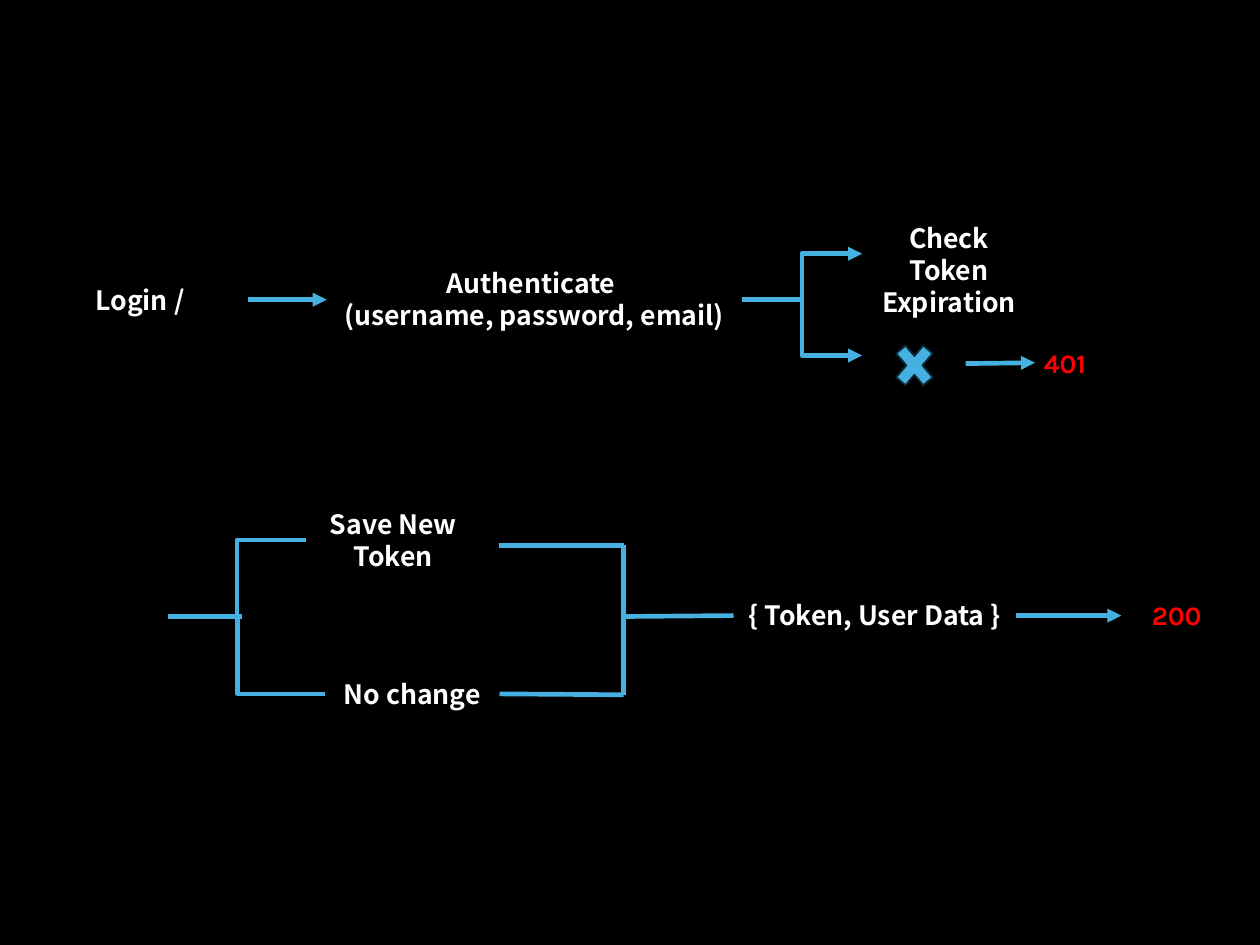
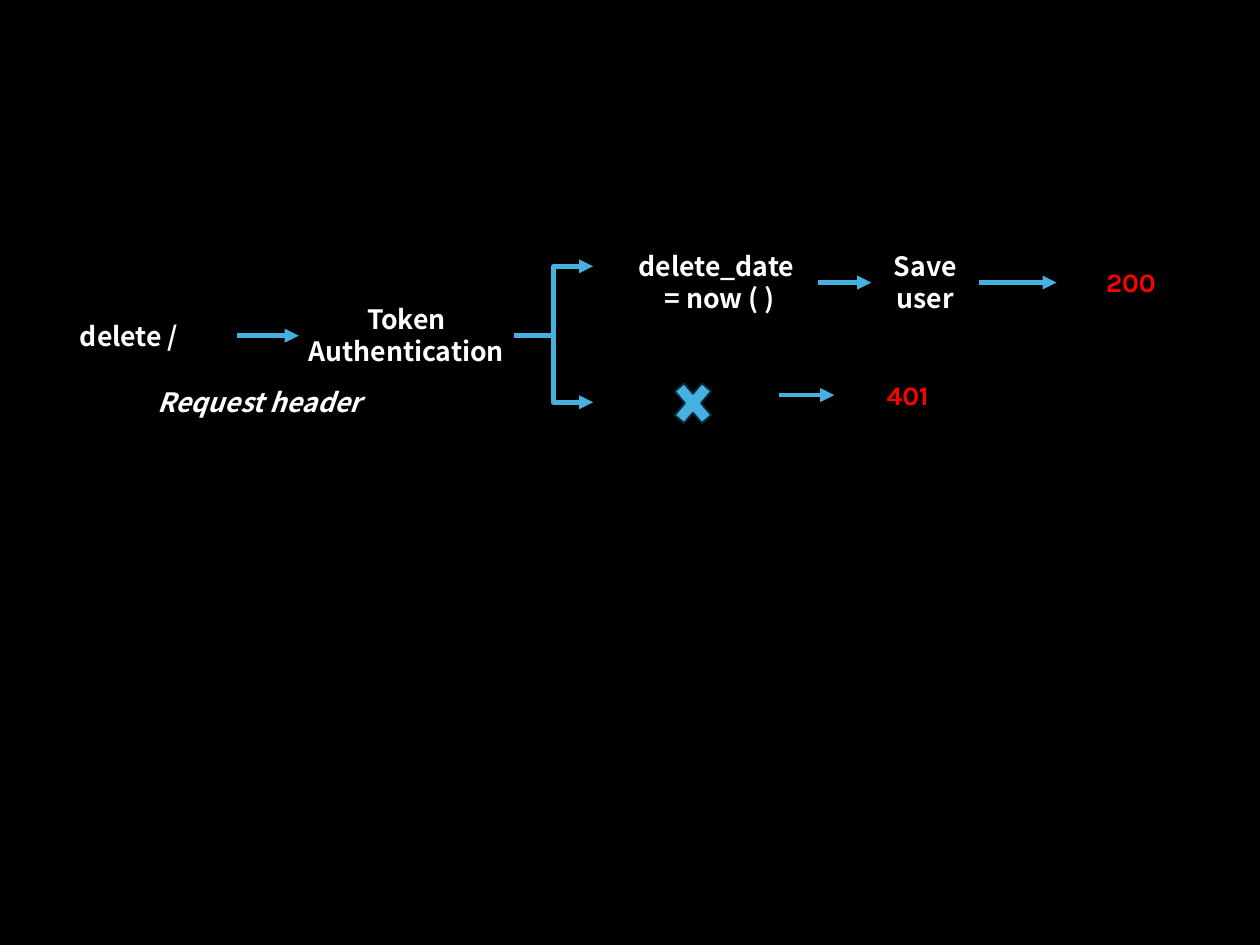
"""Build two flow diagrams: the login request and the delete request."""
from lxml.etree import SubElement
from pptx import Presentation
from pptx.dml.color import RGBColor
from pptx.enum.shapes import MSO_CONNECTOR as Connector, MSO_SHAPE as Shape
from pptx.enum.text import MSO_AUTO_SIZE as AutoSize, PP_ALIGN as Align
from pptx.oxml.ns import qn
from pptx.util import Inches, Pt

color = RGBColor.from_string
BLACK, WHITE, RED, BLUE, NAVY = "000000", "FFFFFF", "FF0000", "46B1E1", "092A39"
STEP_FONT, STATUS_FONT = "Noto Sans CJK SC", "Karla"
STATUS = {"font": STATUS_FONT, "fill": RED}
ONE_LINE, TWO_LINES = 0.46, 0.82
TOP, LEFT, BOTTOM, RIGHT = range(4)


def add_text(slide, text, left, top, width, height=ONE_LINE, font=STEP_FONT,
             fill=WHITE, italic=None, align=Align.CENTER):
    shape = slide.shapes.add_textbox(*map(Inches, (left, top, width, height)))
    frame = shape.text_frame
    frame.word_wrap = True
    frame.auto_size = AutoSize.SHAPE_TO_FIT_TEXT
    frame.text = text
    for paragraph in frame.paragraphs:
        paragraph.alignment = align
        paragraph.line_spacing = Pt(25.6)
        run_font = paragraph.runs[0].font
        run_font.name, run_font.size = font, Pt(21.3)
        run_font.bold, run_font.italic = True, italic
        run_font.color.rgb = color(fill)
    return shape


def add_line(slide, start, end, arrow=True, kind=Connector.STRAIGHT, bend=None,
             from_shape=None, to_shape=None):
    line = slide.shapes.add_connector(kind, *map(Inches, (*start, *end)))
    if from_shape is not None:
        line.begin_connect(from_shape, RIGHT)
    if to_shape is not None:
        line.end_connect(to_shape, LEFT)
    line.line.color.rgb = color(BLUE)
    line.line.width = Pt(3.75)
    properties = line._element.spPr
    if arrow:
        SubElement(properties.find(qn("a:ln")), qn("a:tailEnd"), type="triangle")
    SubElement(properties, qn("a:effectLst"))
    if bend is not None:
        guides = properties.find(qn("a:prstGeom")).get_or_add_avLst()
        SubElement(guides, qn("a:gd"), name="adj1", fmla=f"val {bend}")


presentation = Presentation()
presentation.slide_width, presentation.slide_height = Inches(14), Inches(10.5)
slides = []
for cross_left, cross_top in [(9.87, 3.72), (7.41, 4.14)]:
    slide = presentation.slides.add_slide(presentation.slide_layouts[6])
    slide.background.fill.solid()
    slide.background.fill.fore_color.rgb = color(BLACK)
    cross = slide.shapes.add_shape(
        Shape.MATH_MULTIPLY, *map(Inches, (cross_left, cross_top, 0.58, 0.68)))
    cross.shadow.inherit = False
    cross.fill.solid()
    cross.fill.fore_color.rgb = color(BLUE)
    cross.line.color.rgb = color(NAVY)
    cross.line.width = Pt(1.5)
    slides.append(slide)
login_slide, delete_slide = slides

login = add_text(login_slide, "Login /", 0.36, 3.1, 2.39)
authenticate = add_text(login_slide, "Authenticate \n(username, password, email)",
                        3.63, 2.92, 4.61, TWO_LINES)
add_text(login_slide, "Check Token Expiration", 9.58, 2.42, 1.93, TWO_LINES)
unauthorized = add_text(login_slide, "401", 11.5, 3.8, 1.65, align=Align.LEFT, **STATUS)
add_text(login_slide, "Save New Token", 3.4, 5.59, 1.94, TWO_LINES)
no_change = add_text(login_slide, "No change", 3.61, 7.48, 1.94)
user_data = add_text(login_slide, "{ Token, User Data }", 8.15, 6.61, 3.14)
success = add_text(login_slide, "200", 12.46, 6.61, 1.23, **STATUS)

add_line(login_slide, (2.75, 3.33), (3.63, 3.33), from_shape=login, to_shape=authenticate)
for branch_y in (2.82, 3.95):
    add_line(login_slide, (8.24, 3.33), (9.58, branch_y), kind=Connector.ELBOW)
add_line(login_slide, (10.73, 4.04), (11.5, 4.03), to_shape=unauthorized)
add_line(login_slide, (1.87, 6.85), (3.4, 6), arrow=False, kind=Connector.ELBOW)
add_line(login_slide, (2.69, 6.85), (3.61, 7.71), arrow=False, kind=Connector.ELBOW,
         bend=-5500)
add_line(login_slide, (5.54, 6.06), (6.93, 6.06), arrow=False)
add_line(login_slide, (6.93, 6.06), (6.93, 7.72), arrow=False)
add_line(login_slide, (5.54, 7.71), (6.93, 7.72), arrow=False, from_shape=no_change)
add_line(login_slide, (6.93, 6.85), (8.15, 6.85), arrow=False, to_shape=user_data)
add_line(login_slide, (11.3, 6.84), (12.46, 6.84), from_shape=user_data, to_shape=success)

delete = add_text(delete_slide, "delete /", 0.24, 3.5, 2.39)
add_text(delete_slide, "Request header", 1.02, 4.24, 3.73, italic=True)
token = add_text(delete_slide, "Token Authentication", 3.32, 3.32, 2.39, TWO_LINES)
delete_date = add_text(delete_slide, "delete_date \n= now ( )", 6.9, 2.73, 2.19, TWO_LINES)
save_user = add_text(delete_slide, "Save user", 9.68, 2.73, 1.2, TWO_LINES)
success = add_text(delete_slide, "200", 11.74, 2.91, 1.65, **STATUS)
add_text(delete_slide, "401", 9.63, 4.16, 0.91, **STATUS)

add_line(delete_slide, (2.63, 3.73), (3.32, 3.73), from_shape=delete, to_shape=token)
for branch_y in (2.96, 4.47):
    add_line(delete_slide, (5.71, 3.73), (6.59, branch_y), kind=Connector.ELBOW)
add_line(delete_slide, (9.09, 3.14), (9.68, 3.14), from_shape=delete_date, to_shape=save_user)
add_line(delete_slide, (10.89, 3.14), (11.74, 3.14), from_shape=save_user, to_shape=success)
add_line(delete_slide, (8.66, 4.39), (9.27, 4.39))

presentation.save("out.pptx")
